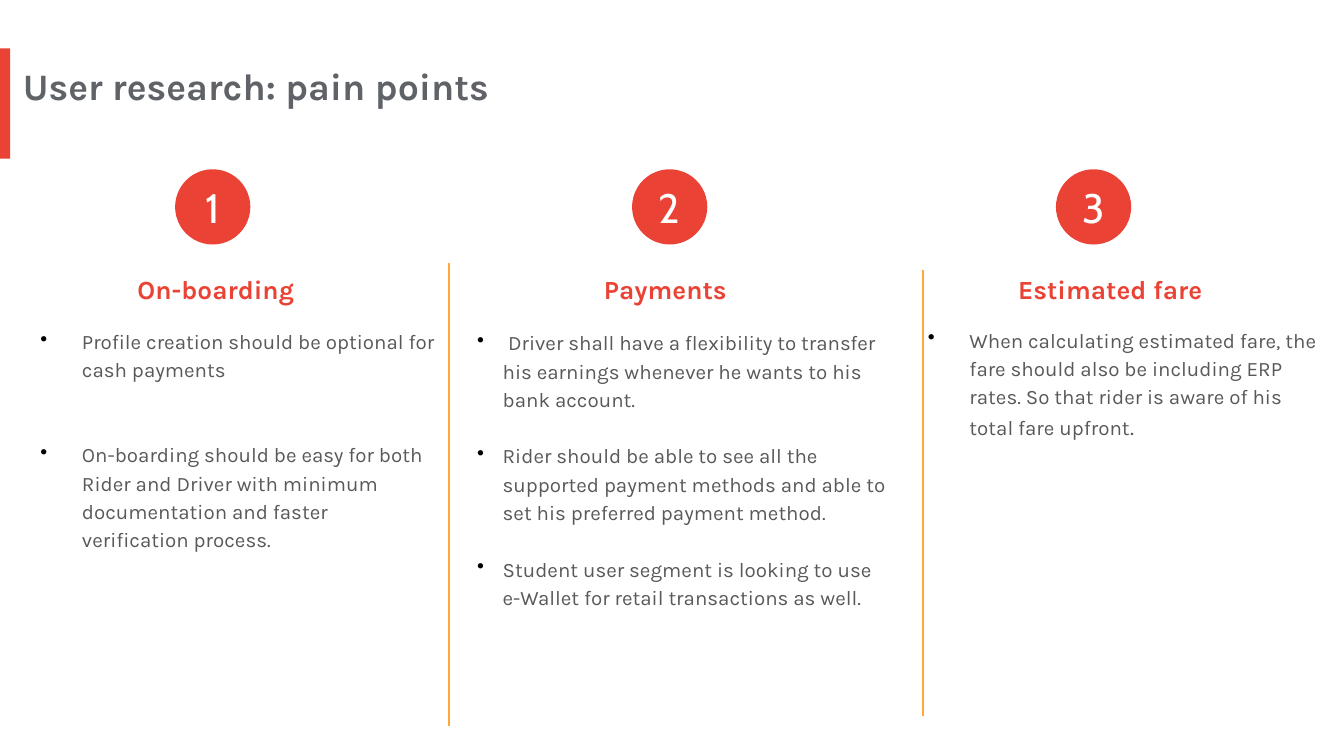
import pptx
import pptx.util
import pptx.dml.color
import pptx.enum.shapes
import pptx.enum.text
import pptx.oxml
import pptx.oxml.ns
from lxml import etree

COLORS = {
    "accent": "EA4335",
    "divider": "FEA83A",
    "title": "5F6368",
    "body": "595959",
    "bullet": "000000",
    "white": "FFFFFF",
}
COLUMNS, ROWS = 100, 56.25
SHAPES = pptx.enum.shapes.MSO_SHAPE
ALIGN = pptx.enum.text.PP_ALIGN


class ResearchSlide:
    heading_font = "Karla"
    number_font = "Cabin"
    line_pitch = 15.2

    def __init__(self, deck):
        self.cell_width = deck.slide_width / COLUMNS
        self.cell_height = deck.slide_height / ROWS
        self.slide = deck.slides.add_slide(deck.slide_layouts[6])

    def place(self, left, top, width, height):
        return (self.x(left), self.y(top), self.x(width), self.y(height))

    def x(self, columns):
        return round(columns * self.cell_width)

    def y(self, rows):
        return round(rows * self.cell_height)

    def color(self, name):
        return pptx.dml.color.RGBColor.from_string(COLORS[name])

    def run(self, paragraph, words, size, color, font=heading_font, bold=False):
        run = paragraph.add_run()
        run.text = words
        run.font.size = pptx.util.Pt(size)
        run.font.name = font
        run.font.bold = bold
        run.font.color.rgb = self.color(color)

    def shape(self, kind, *cells):
        shape = self.slide.shapes.add_shape(kind, *self.place(*cells))
        shape.shadow.inherit = False
        shape.fill.solid()
        shape.fill.fore_color.rgb = self.color("accent")
        shape.line.fill.background()
        return shape

    def text_frame(self, *cells):
        frame = self.slide.shapes.add_textbox(*self.place(*cells)).text_frame
        frame.word_wrap = True
        frame.auto_size = pptx.enum.text.MSO_AUTO_SIZE.SHAPE_TO_FIT_TEXT
        frame.margin_left = 0
        frame.margin_top = frame.margin_right = frame.margin_bottom = self.x(1)
        return frame

    def title(self, words, *cells):
        self.run(self.text_frame(*cells).paragraphs[0], words, 20, "title", bold=True)

    def heading(self, words, left):
        paragraph = self.text_frame(left, 18.2, 20.5, 5.6).paragraphs[0]
        paragraph.alignment = ALIGN.CENTER
        paragraph.line_spacing = 1.5
        self.run(paragraph, words, 14, "accent", bold=True)

    def number(self, value, left):
        frame = self.shape(SHAPES.OVAL, left, 12.6, 5.6, 5.6).text_frame
        frame.margin_left = frame.margin_top = frame.margin_right = frame.margin_bottom = 0
        frame.vertical_anchor = pptx.enum.text.MSO_ANCHOR.MIDDLE
        frame.paragraphs[0].alignment = ALIGN.CENTER
        self.run(frame.paragraphs[0], str(value), 22, "white", self.number_font)

    def bullet(self, paragraph, indent):
        properties = paragraph._p.get_or_add_pPr()
        properties.set("marL", str(self.x(indent)))
        properties.set("indent", str(-self.x(indent)))
        qn = pptx.oxml.ns.qn
        tint = etree.SubElement(properties, qn("a:buClr"))
        etree.SubElement(tint, qn("a:srgbClr"), val=COLORS["bullet"])
        etree.SubElement(properties, qn("a:buChar"), char="•")

    def bullets(self, points, cells, indent, blank_lines):
        frame = self.text_frame(*cells)
        for index, runs in enumerate(points):
            paragraph = frame.add_paragraph() if index else frame.paragraphs[0]
            paragraph.line_spacing = 1.15
            if index < len(points) - 1:
                paragraph.space_after = pptx.util.Pt(blank_lines * self.line_pitch)
            self.bullet(paragraph, indent)
            for run in runs:
                self.run(paragraph, *run)

    def divider(self, column, top, bottom):
        line = self.slide.shapes.add_connector(
            pptx.enum.shapes.MSO_CONNECTOR.STRAIGHT,
            self.x(column), self.y(top), self.x(column), self.y(bottom))
        line.line.color.rgb = self.color("divider")
        line.line.width = pptx.util.Pt(1)
        etree.SubElement(line._element.spPr, pptx.oxml.ns.qn("a:effectLst"))


def point(words):
    return [(words, 11, "body")]


PAIN_POINTS = [
    {
        "heading": ("On-boarding", 6.3),
        "number_left": 13.03,
        "cells": (3, 23.2, 30.5, 19.1),
        "indent": 3.1,
        "blank_lines": 2,
        "points": [
            point("Profile creation should be optional for cash payments"),
            point("On-boarding should be easy for both Rider and Driver with "
                  "minimum documentation and faster verification process."),
        ],
    },
    {
        "heading": ("Payments", 39.75),
        "number_left": 47.03,
        "cells": (35.5, 23.3, 31.9, 25.6),
        "indent": 1.9,
        "blank_lines": 1,
        "points": [
            [(" ", 11, "title", "Open Sans")]
            + point("Driver shall have a flexibility to transfer his earnings "
                    "whenever he wants to his bank account."),
            point("Rider should be able to see all the supported payment methods "
                  "and able to set his preferred payment method."),
            point("Student user segment is looking to use e-Wallet for retail "
                  "transactions as well."),
        ],
    },
    {
        "heading": ("Estimated fare ", 73.1),
        "number_left": 78.57,
        "cells": (69.04, 23.1, 30.3, 13.1),
        "indent": 3.1,
        "blank_lines": 0,
        "points": [
            point("When calculating estimated fare, the fare should also be "
                  "including ERP rates. So that rider is aware of his total "
                  "fare upfront") + [(".", 12, "body")],
        ],
    },
]


def main():
    deck = pptx.Presentation()
    deck.slide_width = pptx.util.Inches(10)
    deck.slide_height = round(deck.slide_width * 9 / 16)
    research = ResearchSlide(deck)
    research.shape(SHAPES.RECTANGLE, 0, 3.6, 0.76, 8.2)
    research.title("User research: pain points", 1.7, 3.7, 67.3, 5.4)
    for value, topic in enumerate(PAIN_POINTS, 1):
        research.heading(*topic["heading"])
        research.bullets(topic["points"], topic["cells"], topic["indent"],
                         topic["blank_lines"])
        research.number(value, topic["number_left"])
    research.divider(33.4, 19.6, 54)
    research.divider(68.7, 20.1, 53.3)
    deck.save("out.pptx")


if __name__ == "__main__":
    main()
